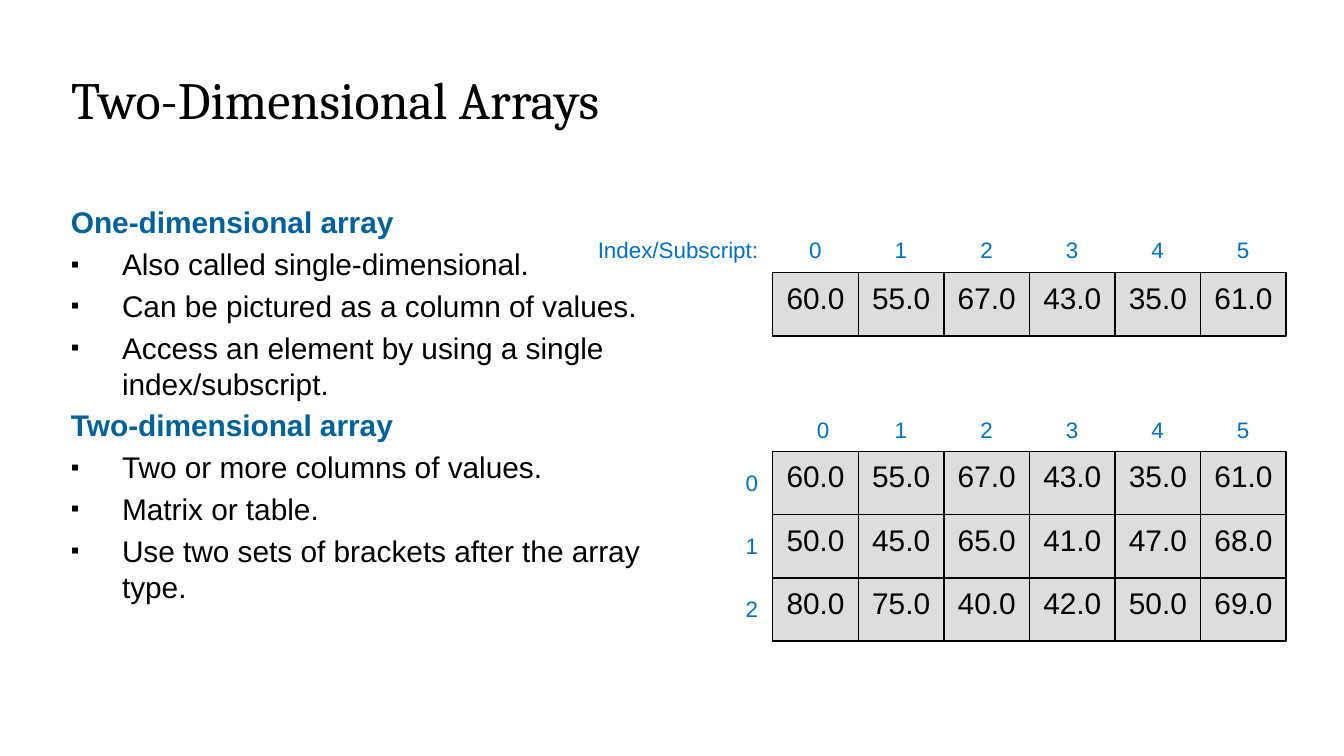
from lxml.etree import SubElement
from pptx import Presentation
from pptx.dml.color import RGBColor
from pptx.enum.shapes import MSO_SHAPE
from pptx.enum.text import MSO_ANCHOR, PP_ALIGN
from pptx.oxml.ns import qn
from pptx.util import Inches, Pt

BLACK = RGBColor(0x00, 0x00, 0x00)
HEADING_BLUE = RGBColor(0x00, 0x62, 0x98)
INDEX_BLUE = RGBColor(0x00, 0x70, 0xC0)
CELL_GRAY = RGBColor(0xDD, 0xDD, 0xDD)

TITLE = "Two-Dimensional Arrays"
SECTIONS = [
    ("One-dimensional array", [
        "Also called single-dimensional.",
        "Can be pictured as a column of values.",
        "Access an element by using a single index/subscript.",
    ]),
    ("Two-dimensional array", [
        "Two or more columns of values.",
        "Matrix or table.",
        "Use two sets of brackets after the array type.",
    ]),
]
INDEX_LABEL = "Index/Subscript:"
ONE_DIMENSIONAL = [["60.0", "55.0", "67.0", "43.0", "35.0", "61.0"]]
TWO_DIMENSIONAL = [
    ["60.0", "55.0", "67.0", "43.0", "35.0", "61.0"],
    ["50.0", "45.0", "65.0", "41.0", "47.0", "68.0"],
    ["80.0", "75.0", "40.0", "42.0", "50.0", "69.0"],
]

COLUMNS = len(ONE_DIMENSIONAL[0])
GRID_LEFT, GRID_RIGHT = 5.75, 9.57
CELL_WIDTH = (GRID_RIGHT - GRID_LEFT) / COLUMNS
CELL_HEIGHT = 0.47
COLUMN_CENTERS = [GRID_LEFT + (i + 0.5) * CELL_WIDTH for i in range(COLUMNS)]
INSET = 0.1
LABEL_HEIGHT = 0.3

presentation = Presentation()
presentation.slide_width = Inches(10)
presentation.slide_height = presentation.slide_width * 9 // 16
slide = presentation.slides.add_slide(presentation.slide_layouts[5])


def write(paragraph, text, size=16, font="Arial", color=BLACK, bold=False,
          align=PP_ALIGN.LEFT, space_before=0, bullet=None, tabs=()):
    run = paragraph.add_run()
    run.text = text
    run.font.size = Pt(size)
    run.font.name = font
    run.font.bold = bold
    run.font.color.rgb = color
    paragraph.alignment = align
    paragraph.space_before = Pt(space_before)
    properties = paragraph._p.get_or_add_pPr()
    if bullet:
        properties.set("marL", str(Inches(0.38)))
        properties.set("indent", str(-Inches(0.38)))
        bullet_color = SubElement(properties, qn("a:buClr"))
        SubElement(bullet_color, qn("a:srgbClr"), val=str(BLACK))
        SubElement(properties, qn("a:buSzPct"), val="80000")
        SubElement(properties, qn("a:buFont"), typeface="Arial")
        SubElement(properties, qn("a:buChar"), char=bullet)
    if tabs:
        tab_list = SubElement(properties, qn("a:tabLst"))
        for position in tabs:
            SubElement(tab_list, qn("a:tab"), pos=str(Inches(position)), algn="ctr")


def add_frame(left, top, width, height):
    box = slide.shapes.add_textbox(Inches(left), Inches(top), Inches(width), Inches(height))
    box.text_frame.word_wrap = True
    return box.text_frame


def add_index_label(text, left, top, width, centers=()):
    frame = add_frame(left, top, width, LABEL_HEIGHT)
    write(frame.paragraphs[0], text, size=12, color=INDEX_BLUE,
          tabs=[center - left - INSET for center in centers])


def add_grid(rows, top):
    for r, row in enumerate(rows):
        for c, value in enumerate(row):
            cell = slide.shapes.add_shape(
                MSO_SHAPE.RECTANGLE,
                Inches(GRID_LEFT + c * CELL_WIDTH), Inches(top + r * CELL_HEIGHT),
                Inches(CELL_WIDTH), Inches(CELL_HEIGHT))
            cell.shadow.inherit = False
            cell.fill.solid()
            cell.fill.fore_color.rgb = CELL_GRAY
            cell.line.color.rgb = BLACK
            cell.line.width = Pt(0.75)
            cell.text_frame.word_wrap = False
            cell.text_frame.vertical_anchor = MSO_ANCHOR.TOP
            write(cell.text_frame.paragraphs[0], value, align=PP_ALIGN.CENTER)


title = slide.shapes.title
title.left, title.top = Inches(0.43), Inches(0.45)
title.width, title.height = Inches(8.5), Inches(0.94)
title.text_frame.vertical_anchor = MSO_ANCHOR.TOP
write(title.text_frame.paragraphs[0], TITLE, size=28, font="Cambria")

body = add_frame(0.43, 1.47, 4.76, 3.23)
lines = []
for heading, points in SECTIONS:
    lines.append((heading, {"color": HEADING_BLUE, "bold": True}))
    lines += [(point, {"bullet": "▪"}) for point in points]
for i, (text, style) in enumerate(lines):
    paragraph = body.add_paragraph() if i else body.paragraphs[0]
    write(paragraph, text, space_before=3.2, **style)

indexes = [str(i) for i in range(COLUMNS)]
ONE_TOP, TWO_TOP = 2.03, 3.36

add_grid(ONE_DIMENSIONAL, ONE_TOP)
add_index_label("\t".join([INDEX_LABEL] + indexes), 4.35, 1.71, 5.14, COLUMN_CENTERS)

add_grid(TWO_DIMENSIONAL, TWO_TOP)
add_index_label("\t".join(indexes), 5.98, 3.05, 3.5, COLUMN_CENTERS[1:])
for r in range(len(TWO_DIMENSIONAL)):
    add_index_label(str(r), 5.45, TWO_TOP + r * CELL_HEIGHT + 0.08, 0.29)

presentation.save("out.pptx")
